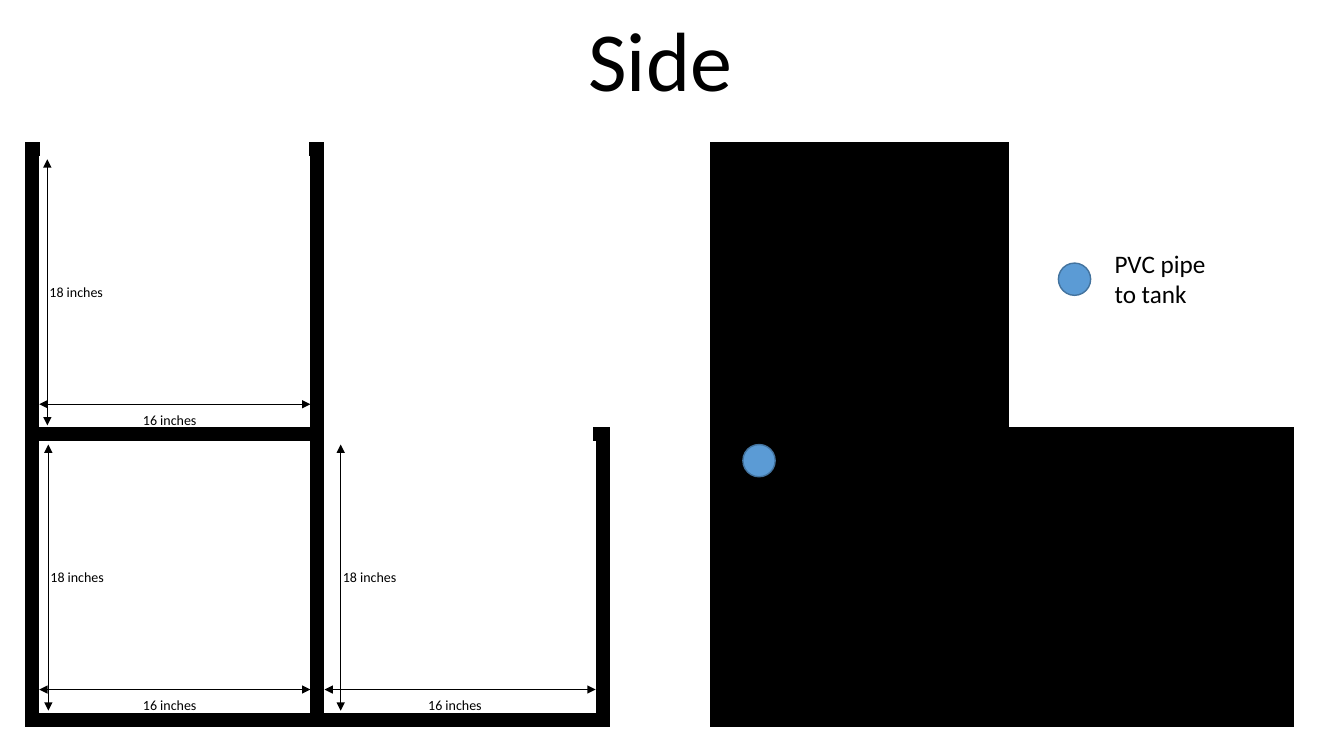
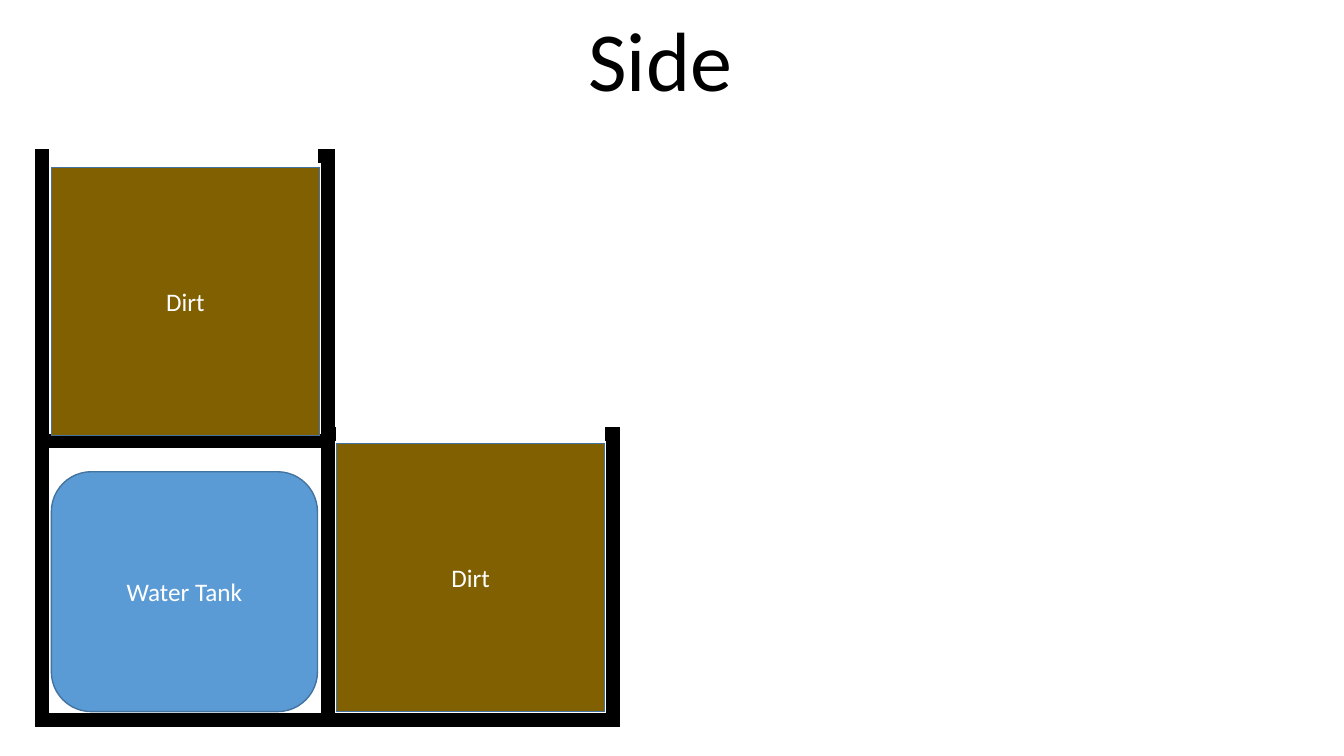
from dataclasses import dataclass

from lxml import etree
from pptx import Presentation
from pptx.dml.color import RGBColor
from pptx.enum.shapes import MSO_CONNECTOR, MSO_SHAPE
from pptx.enum.text import MSO_ANCHOR, MSO_AUTO_SIZE, PP_ALIGN
from pptx.oxml.ns import qn
from pptx.util import Pt


@dataclass(frozen=True)
class Theme:
    font: str = "Calibri"
    black: str = "000000"
    white: str = "FFFFFF"
    water: str = "5B9BD5"
    outline: str = "43739E"
    dirt: str = "806000"
    title_size: float = 60
    body_size: float = 18
    label_size: float = 10
    wall: float = 10
    thin: float = 1
    arrow: float = 0.5


THEME = Theme()
BOX = 203.76      # side of one planter compartment
LOWER = 310.32    # top of the lower row
FILL = 191.52     # side of a compartment's contents
PIPE = 23.04      # pipe diameter


# Text
def write(shape, text, size, color, align=PP_ALIGN.LEFT, anchor=MSO_ANCHOR.TOP):
    frame = shape.text_frame
    frame.word_wrap = True
    frame.vertical_anchor = anchor
    frame.text = text
    paragraph = frame.paragraphs[0]
    paragraph.alignment = align
    font = paragraph.runs[0].font
    font.name, font.size = THEME.font, Pt(size)
    font.color.rgb = RGBColor.from_string(color)
    return frame


def add_label(slide, text, left, top, width, height, size):
    box = slide.shapes.add_textbox(Pt(left), Pt(top), Pt(width), Pt(height))
    frame = write(box, text, size, THEME.black)
    frame.auto_size = MSO_AUTO_SIZE.SHAPE_TO_FIT_TEXT


def add_titled_slide(prs, text):
    slide = prs.slides.add_slide(prs.slide_layouts[5])
    title = slide.shapes.title
    title.left, title.top, title.width, title.height = Pt(57.6), Pt(13.7), Pt(828), Pt(67)
    frame = write(title, text, THEME.title_size, THEME.black,
                  PP_ALIGN.CENTER, MSO_ANCHOR.BOTTOM)
    frame.auto_size = MSO_AUTO_SIZE.NONE
    frame.paragraphs[0].line_spacing = 0.8
    return slide


# Shapes and lines
def add_block(slide, left, top, width, height, fill, line, weight=THEME.thin,
              kind=MSO_SHAPE.RECTANGLE, text=None):
    shape = slide.shapes.add_shape(kind, Pt(left), Pt(top), Pt(width), Pt(height))
    shape.shadow.inherit = False
    shape.fill.solid()
    shape.fill.fore_color.rgb = RGBColor.from_string(fill)
    shape.line.color.rgb = RGBColor.from_string(line)
    shape.line.width = Pt(weight)
    # Square corners on the outline
    etree.SubElement(shape.line._get_or_add_ln(), qn("a:miter"), lim="800000")
    if text:
        write(shape, text, THEME.body_size, THEME.white,
              PP_ALIGN.CENTER, MSO_ANCHOR.MIDDLE)


def add_double_arrow(slide, x1, y1, x2, y2):
    arrow = slide.shapes.add_connector(
        MSO_CONNECTOR.STRAIGHT, Pt(x1), Pt(y1), Pt(x2), Pt(y2))
    arrow.line.color.rgb = RGBColor.from_string(THEME.black)
    arrow.line.width = Pt(THEME.arrow)
    line = arrow.line._get_or_add_ln()
    for end in ("a:headEnd", "a:tailEnd"):
        etree.SubElement(line, qn(end), type="triangle")
    etree.SubElement(line.getparent(), qn("a:effectLst"))


# Planter parts
def add_planter(slide, left, upper, fill):
    """Three compartments in an L: rear bottom, front bottom, rear top."""
    boxes = [(left, LOWER), (left + BOX, LOWER), (left, upper)]
    for x, y in boxes:
        add_block(slide, x, y, BOX, BOX, fill, THEME.black, THEME.wall)
    return boxes


def add_opening(slide, left, top):
    add_block(slide, left, top, FILL, 15.12, THEME.white, THEME.white)


def add_dimensions(slide, left, top, inset):
    across, down = top + 182.2, left + inset
    add_double_arrow(slide, left + 5, across, left + 198.7, across)
    add_label(slide, "16 inches", left + 72, top + 183.6, 59.8, 19.4, THEME.label_size)
    add_double_arrow(slide, down, top + 7.2, down, top + 197.3)
    add_label(slide, "18 inches", down - 5.6, top + 92.2, 66.2, 19.4, THEME.label_size)


def add_pipe(slide, left, top):
    add_block(slide, left, top, PIPE, PIPE, THEME.water, THEME.outline,
              kind=MSO_SHAPE.OVAL)


# Slides
def build_dimensions_slide(prs):
    slide = add_titled_slide(prs, "Side")
    boxes = add_planter(slide, 23.04, 106.56, THEME.white)
    add_opening(slide, 28.8, 98.64)
    add_opening(slide, 231.84, 304.56)
    for (left, top), inset in zip(boxes, (11.5, 16.56, 10.8)):
        add_dimensions(slide, left, top, inset)

    add_planter(slide, 511.92, 106.56, THEME.black)
    add_pipe(slide, 530.64, 317.52)
    add_pipe(slide, 756, 187.92)
    add_label(slide, "PVC pipe to tank", 789.1, 173.5, 89.3, 51.1, THEME.body_size)


def build_contents_slide(prs):
    slide = add_titled_slide(prs, "Side")
    add_planter(slide, 30.24, 111.6, THEME.white)
    add_block(slide, 36.72, 336.96, 190.08, 171.36, THEME.water, THEME.outline,
              kind=MSO_SHAPE.ROUNDED_RECTANGLE, text="Water Tank")
    add_opening(slide, 35.28, 103.68)
    add_opening(slide, 240.48, 300.96)
    for left, top in ((240.48, 316.8), (36.72, 119.52)):
        add_block(slide, left, top, FILL, FILL, THEME.dirt, THEME.outline, text="Dirt")


def main():
    prs = Presentation()
    prs.slide_width, prs.slide_height = Pt(960), Pt(540)
    build_dimensions_slide(prs)
    build_contents_slide(prs)
    prs.save("out.pptx")


main()
